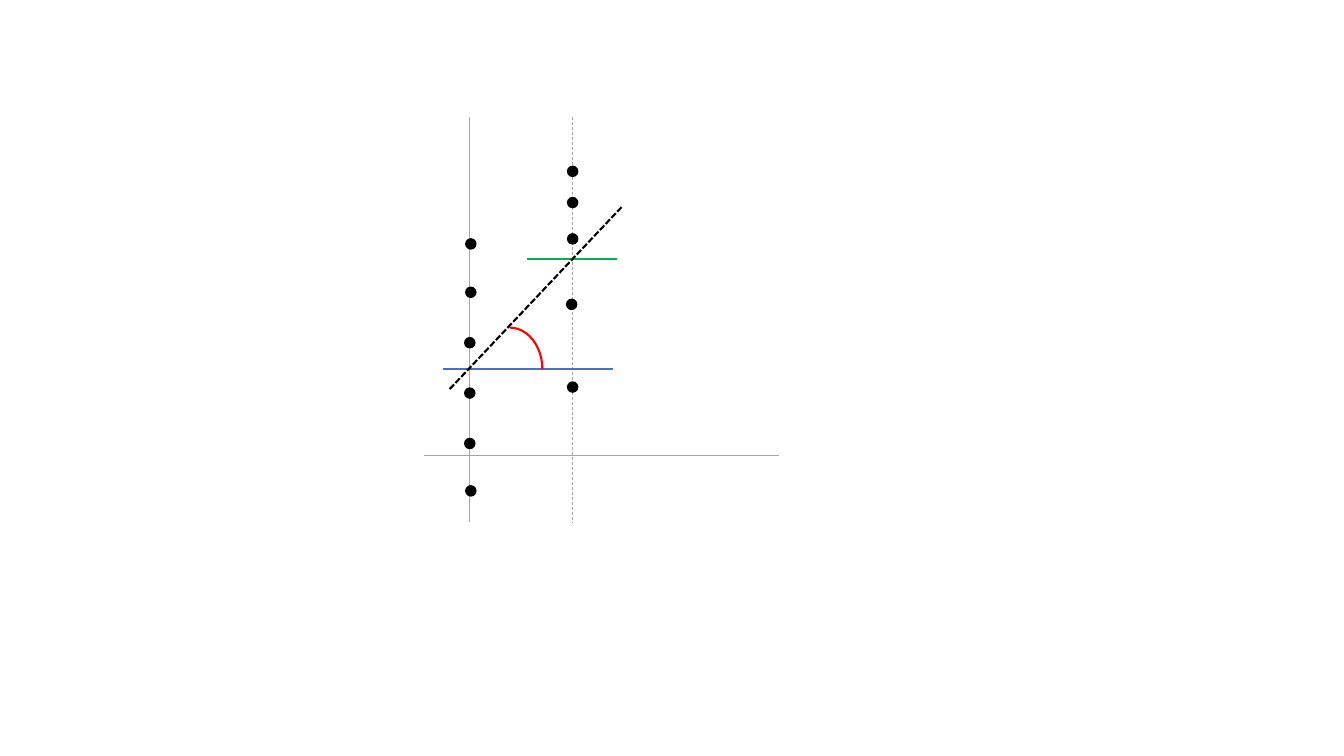
from lxml import etree
from pptx import Presentation
from pptx.dml.color import RGBColor
from pptx.enum.dml import MSO_LINE
from pptx.enum.shapes import MSO_CONNECTOR, MSO_SHAPE
from pptx.oxml.ns import qn
from pptx.util import Inches, Pt

STRAIGHT = MSO_CONNECTOR.STRAIGHT
OVAL, ARC = MSO_SHAPE.OVAL, MSO_SHAPE.ARC
DASH, SHORT_DASH = MSO_LINE.DASH, MSO_LINE.SQUARE_DOT

BLACK, GRAY, BLUE, GREEN, RED = "000000", "A6A6A6", "4472C4", "00B050", "FF0000"
THIN, MEDIUM, THICK = 0.5, 1, 1.5
DOT_SIZE = 0.1

AXIS_TOP, AXIS_BOTTOM = 1.16, 5.18
FIRST_GROUP_X, SECOND_GROUP_X = 4.66, 5.68
FIRST_MEAN_Y, SECOND_MEAN_Y, BASELINE_Y = 3.66, 2.57, 4.52

# Left and top of each data point
FIRST_GROUP = [(4.62, 2.37), (4.62, 2.85), (4.61, 3.35),
               (4.61, 3.85), (4.61, 4.35), (4.62, 4.82)]
SECOND_GROUP = [(5.63, 1.65), (5.63, 1.96), (5.63, 2.32),
                (5.62, 2.97), (5.63, 3.79)]


def color(hex_string):
    return RGBColor.from_string(hex_string)


class Diagram:
    def __init__(self, slide):
        self.slide = slide

    def style_line(self, line, hex_string, width, dash=None):
        line.color.rgb = color(hex_string)
        line.width = Pt(width)
        if dash is not None:
            line.dash_style = dash

    def line(self, x1, y1, x2, y2, hex_string, width, dash=None):
        connector = self.slide.shapes.add_connector(
            STRAIGHT, Inches(x1), Inches(y1), Inches(x2), Inches(y2))
        self.style_line(connector.line, hex_string, width, dash)
        etree.SubElement(connector._element.spPr, qn("a:effectLst"))

    def dot(self, left, top):
        shape = self.slide.shapes.add_shape(
            OVAL, Inches(left), Inches(top), Inches(DOT_SIZE), Inches(DOT_SIZE))
        shape.shadow.inherit = False
        shape.fill.solid()
        shape.fill.fore_color.rgb = color(BLACK)
        self.style_line(shape.line, BLACK, MEDIUM)

    def arc(self, left, top, width, height, hex_string):
        shape = self.slide.shapes.add_shape(
            ARC, Inches(left), Inches(top), Inches(width), Inches(height))
        shape.shadow.inherit = False
        shape.fill.background()
        self.style_line(shape.line, hex_string, THICK)


def main():
    presentation = Presentation()
    presentation.slide_width = Inches(13.33)
    presentation.slide_height = Inches(7.5)
    diagram = Diagram(presentation.slides.add_slide(presentation.slide_layouts[6]))

    # Axes
    for x, dash in ((SECOND_GROUP_X, DASH), (FIRST_GROUP_X, None)):
        diagram.line(x, AXIS_TOP, x, AXIS_BOTTOM, GRAY, THIN, dash)
    diagram.line(4.21, BASELINE_Y, 7.73, BASELINE_Y, GRAY, THIN)

    for left, top in FIRST_GROUP + SECOND_GROUP:
        diagram.dot(left, top)

    # Group means, slope angle and regression line
    diagram.line(4.39, FIRST_MEAN_Y, 6.08, FIRST_MEAN_Y, BLUE, THICK)
    diagram.line(5.23, SECOND_MEAN_Y, 6.12, SECOND_MEAN_Y, GREEN, THICK)
    diagram.arc(4.73, 3.25, 0.65, 0.83, RED)
    diagram.line(4.46, 3.86, 6.17, 2.05, BLACK, THICK, SHORT_DASH)

    presentation.save("out.pptx")


if __name__ == "__main__":
    main()
